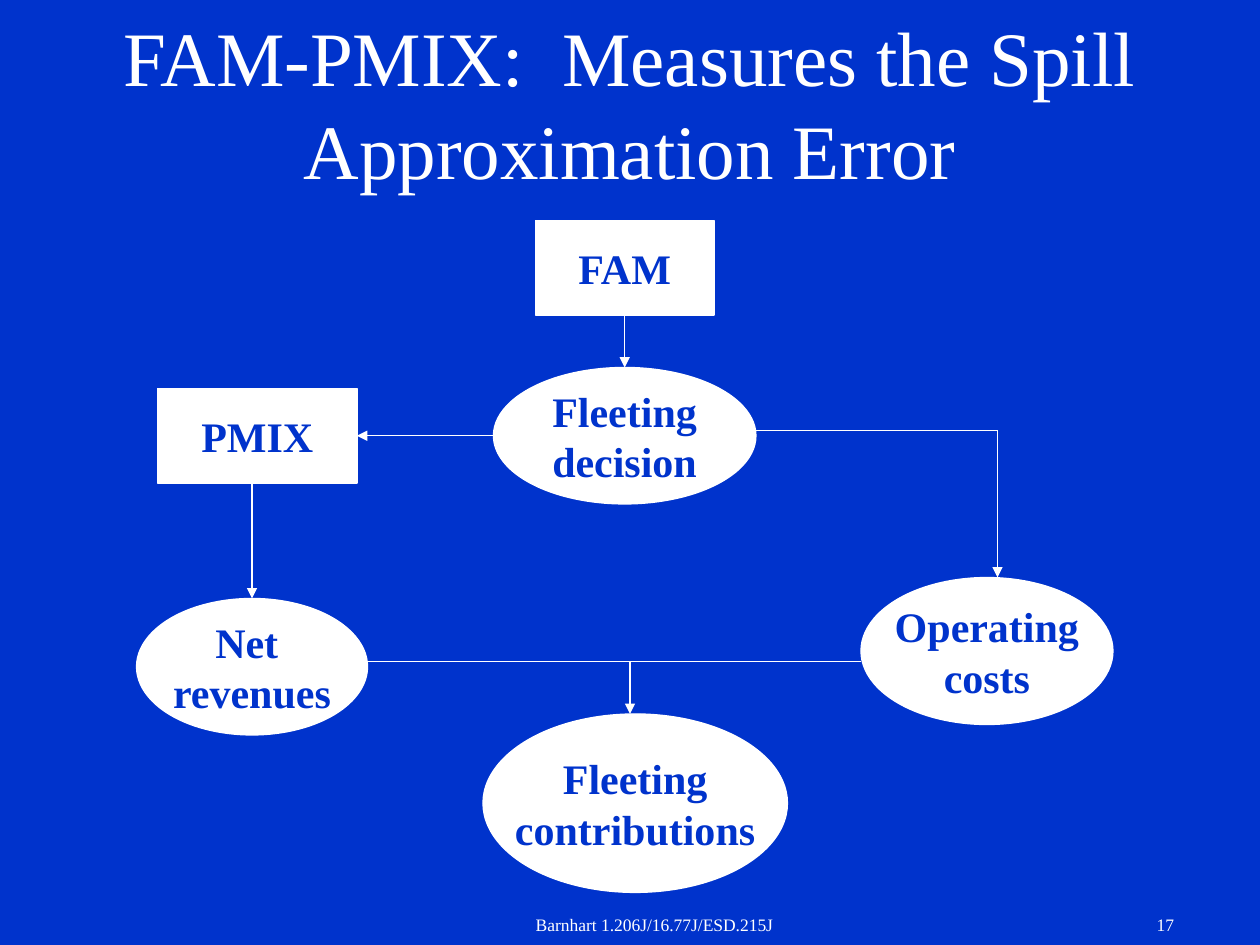
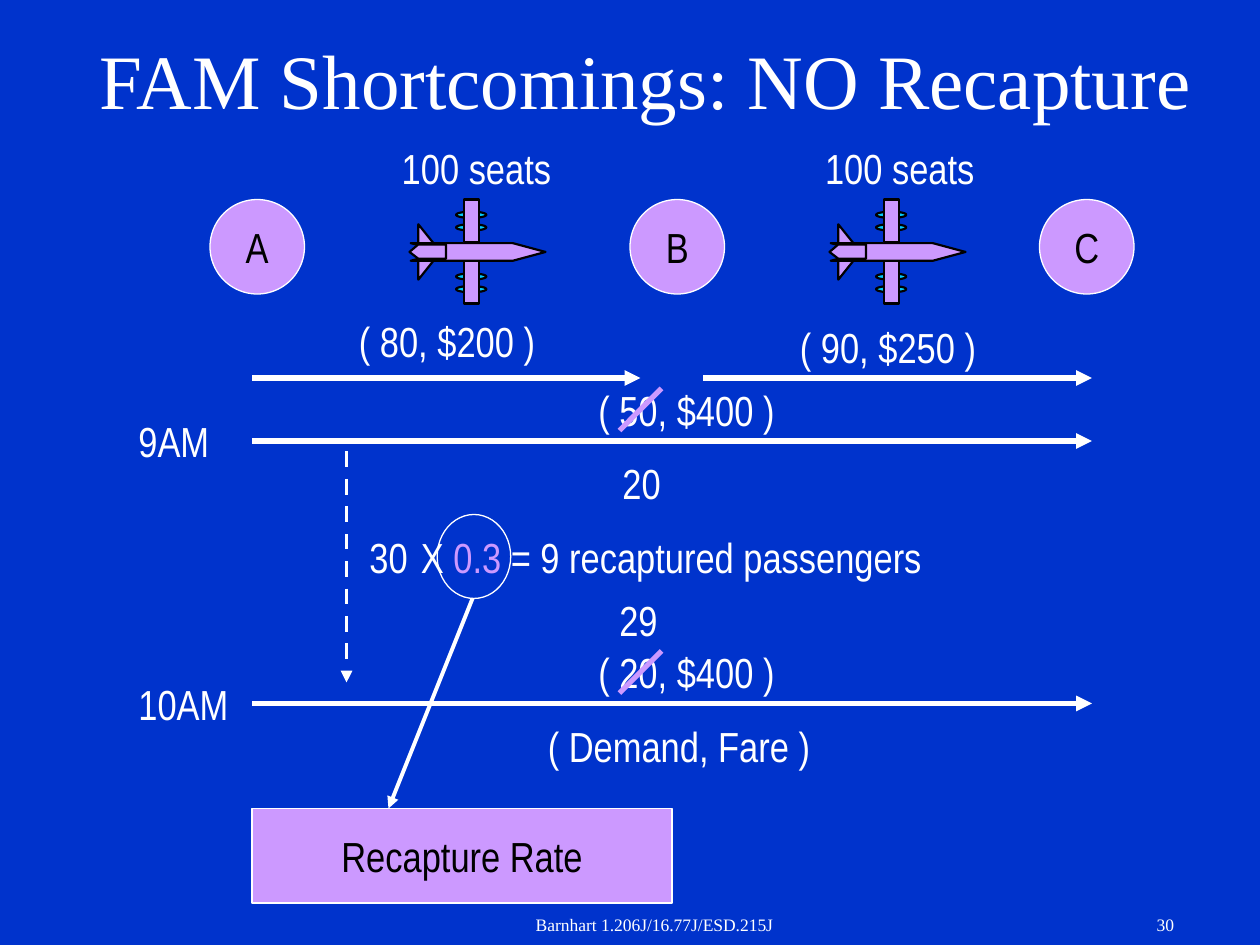
from dataclasses import dataclass
from lxml.etree import SubElement
from pptx import Presentation
from pptx.dml.color import RGBColor
from pptx.enum.dml import MSO_LINE
from pptx.enum.shapes import MSO_CONNECTOR, MSO_SHAPE
from pptx.enum.text import MSO_ANCHOR, MSO_AUTO_SIZE, PP_ALIGN
from pptx.oxml.ns import qn
from pptx.util import Inches, Pt

COLORS = {"blue": "0033CC", "white": "FFFFFF", "lilac": "CC99FF",
          "cyan": "00CCFF", "black": "000000"}
WIDTH, HEIGHT = Inches(10), Inches(7.5)
COLUMNS, ROWS = 120, 90
FOOTER = "Barnhart 1.206J/16.77J/ESD.215J"

TITLE = {"name": "Times New Roman", "size": Pt(44), "bold": False}
NODE = {"name": "Times New Roman", "size": Pt(24), "bold": True}
LABEL = {"name": "Arial Narrow", "size": Pt(24), "bold": False}
SMALL = {"name": "Times New Roman", "size": Pt(10), "bold": False}
FRAME = {"margin_left": Inches(0.1), "margin_right": Inches(0.1),
         "margin_top": Inches(0.05), "margin_bottom": Inches(0.05)}


def rgb(name):
    return RGBColor.from_string(COLORS[name])


def apply(target, values):
    for key, value in values.items():
        setattr(target, key, value)


def write(tf, runs, font, align, **frame):
    apply(tf, {**FRAME, **frame})
    p = tf.paragraphs[0]
    for text, color in runs:
        for i, line in enumerate(text.split("\n")):
            if i:
                p = tf.add_paragraph()
            r = p.add_run()
            r.text = line
            apply(r.font, font)
            r.font.color.rgb = rgb(color)
    for p in tf.paragraphs:
        p.alignment = align


def paint(sp, fill, line, weight):
    sp.shadow.inherit = False
    if fill:
        sp.fill.solid()
        sp.fill.fore_color.rgb = rgb(fill)
    else:
        sp.fill.background()
    sp.line.color.rgb = rgb(line)
    sp.line.width = Pt(weight)
    return sp


@dataclass
class Area:
    s: object
    left: float = 0
    top: float = 0

    def inner(self, col, row):
        return Area(self.s, self.left + col, self.top + row)

    def point(self, col, row):
        return (round((self.left + col) * WIDTH / COLUMNS),
                round((self.top + row) * HEIGHT / ROWS))

    def box(self, col, row, w, h):
        return (*self.point(col, row), round(w * WIDTH / COLUMNS), round(h * HEIGHT / ROWS))

    def shape(self, kind, box, fill, line="white", weight=0.75):
        sp = self.s.shapes.add_shape(kind, *self.box(*box))
        return paint(sp, fill, line, weight)

    def node(self, kind, box, text, fill, color, font):
        sp = self.shape(kind, box, fill)
        write(sp.text_frame, [(text, color)], font, PP_ALIGN.CENTER,
              word_wrap=False, vertical_anchor=MSO_ANCHOR.MIDDLE)
        return sp

    def outline(self, points, fill, line, weight):
        start, *rest = [self.point(*pt) for pt in points]
        fb = self.s.shapes.build_freeform(*start)
        fb.add_line_segments(rest, close=True)
        return paint(fb.convert_to_shape(), fill, line, weight)

    def label(self, col, row, w, *runs):
        tb = self.s.shapes.add_textbox(*self.box(col, row, w, 6))
        runs = [r if isinstance(r, tuple) else (r, "white") for r in runs]
        write(tb.text_frame, runs, LABEL, PP_ALIGN.LEFT, word_wrap=True,
              auto_size=MSO_AUTO_SIZE.NONE)

    def line(self, start, end, weight=0.75, color="white", arrow=True, dash=None):
        c = self.s.shapes.add_connector(MSO_CONNECTOR.STRAIGHT,
                                        *self.point(*start), *self.point(*end))
        c.line.color.rgb = rgb(color)
        c.line.width = Pt(weight)
        if dash:
            c.line.dash_style = dash
        spPr = c._element.spPr
        if arrow:
            SubElement(spPr.find(qn("a:ln")), qn("a:tailEnd"), type="triangle")
        SubElement(spPr, qn("a:effectLst"))
        return c


def new_slide(prs, title, title_box, number):
    s = prs.slides.add_slide(prs.slide_layouts[5])
    area = Area(s)
    apply(s.shapes.title, dict(zip(("left", "top", "width", "height"), area.box(*title_box))))
    write(s.shapes.title.text_frame, [(title, "white")], TITLE, PP_ALIGN.CENTER,
          word_wrap=True, auto_size=MSO_AUTO_SIZE.NONE, vertical_anchor=MSO_ANCHOR.MIDDLE)
    for text, col, w, align in ((FOOTER, 43.32, 38, PP_ALIGN.CENTER),
                                (str(number), 88, 25, PP_ALIGN.RIGHT)):
        tb = s.shapes.add_textbox(*area.box(col, 86.5, w, 3.5))
        write(tb.text_frame, [(text, "white")], SMALL, align, word_wrap=True)
    return area


def spill_flow(area):
    oval, rect = MSO_SHAPE.OVAL, MSO_SHAPE.RECTANGLE
    nodes = {}
    for kind, box, text in (
            (oval, (34, 14, 25, 13), "Fleeting\ndecision"),
            (rect, (38, 0, 17, 9), "FAM"),
            (rect, (2, 16, 19, 9), "PMIX"),
            (oval, (0, 36, 22, 13), "Net \nrevenues"),
            (oval, (69, 34, 24, 14), "Operating\ncosts"),
            (oval, (33, 47, 29, 17), "Fleeting\ncontributions")):
        nodes[text] = area.node(kind, box, text, "white", "blue", NODE)
    area.line((46.5, 9), (46.5, 14)).begin_connect(nodes["FAM"], 2)
    area.line((34, 20.5), (21, 20.5)).end_connect(nodes["PMIX"], 3)
    for start, end, arrow in (((11, 25), (11, 36), True),
                              ((59, 20), (82, 20), False),
                              ((82, 20), (82, 34), True),
                              ((22, 42), (69, 42), False),
                              ((47, 42), (47, 47), True)):
        area.line(start, end, arrow=arrow)


def plane(area):
    ink = {"line": "black", "weight": 1.25}
    for row in (1.16, 2.36, 7.04, 8.24):
        area.shape(MSO_SHAPE.OVAL, (4.44, row, 2.88, 0.6), "cyan", **ink)
    area.outline([(0.12, 4.16), (9.84, 4.16), (12.96, 5), (9.84, 5.84),
                  (0.12, 5.84), (3.36, 5)], "lilac", **ink)
    for row in (0, 5.84):
        area.shape(MSO_SHAPE.RECTANGLE, (5.16, row, 1.44, 4.08), "lilac", **ink)
    for row, flip in ((2.36, "0"), (5.84, "1")):
        fin = area.shape(MSO_SHAPE.RIGHT_TRIANGLE, (0.84, row, 1.44, 1.8), "lilac", **ink)
        fin._element.spPr.xfrm.set("flipV", flip)
    area.outline([(3.48, 4.28), (0.84, 4.28), (0, 5), (0.84, 5.64), (3.48, 5.64)],
                 "lilac", **ink)


def route(area):
    for name, col in (("A", 0), ("B", 40), ("C", 79)):
        area.node(MSO_SHAPE.OVAL, (col, 6, 9, 9), name, "lilac", "black", LABEL)
    for plane_col, seats_col in ((19, 17.08), (59, 57.4)):
        area.label(seats_col, 0, 18, "100 seats")
        plane(area.inner(plane_col, 6))
    for start, end, col, row, fare in ((4, 41, 13, 16.5, "( 80, $200 )"),
                                       (47, 84, 55, 17, "( 90, $250 )")):
        area.line((start, 23), (end, 23), 3)
        area.label(col, row, 21, fare)


def departure(area, time, fare, demand, demand_col, demand_row):
    area.line((12, 6), (92, 6), 3)
    area.label(0, 3, 12, time)
    area.label(43.8, 0, 21, fare)
    area.line((47, 5), (51, 1), 3, "lilac", arrow=False)
    area.label(demand_col, demand_row, 8, demand)


def recapture(area):
    area.line((0, 0), (0, 22), 2.25, dash=MSO_LINE.DASH)
    area.shape(MSO_SHAPE.OVAL, (8.64, 6, 7, 8), None)
    area.line((12, 14), (4, 34), 2.25)
    area.node(MSO_SHAPE.RECTANGLE, (-9, 34, 40, 9), "Recapture Rate", "lilac", "black", LABEL)
    area.label(1, 7, 8, "30")
    area.label(5.9, 7, 54, "X ", ("0.3", "lilac"), " = 9 recaptured passengers")
    area.label(18, 25, 30, "( Demand, Fare )")


def main():
    prs = Presentation()
    apply(prs, {"slide_width": WIDTH, "slide_height": HEIGHT})
    background = prs.slide_master.background.fill
    background.solid()
    background.fore_color.rgb = rgb("blue")

    area = new_slide(prs, "FAM-PMIX:  Measures the Spill Approximation Error",
                     (2, 2.25, 116, 15), 17)
    spill_flow(area.inner(13, 21))

    area = new_slide(prs, "FAM Shortcomings: NO Recapture", (8, 0, 107, 15), 30)
    route(area.inner(20, 13))
    departure(area.inner(12, 36), "9AM", "( 50, $400 )", "20", 46.1, 7)
    departure(area.inner(12, 61), "10AM", "( 20, $400 )", "29", 45.8, -5)
    recapture(area.inner(33, 43))
    prs.save("out.pptx")


if __name__ == "__main__":
    main()
